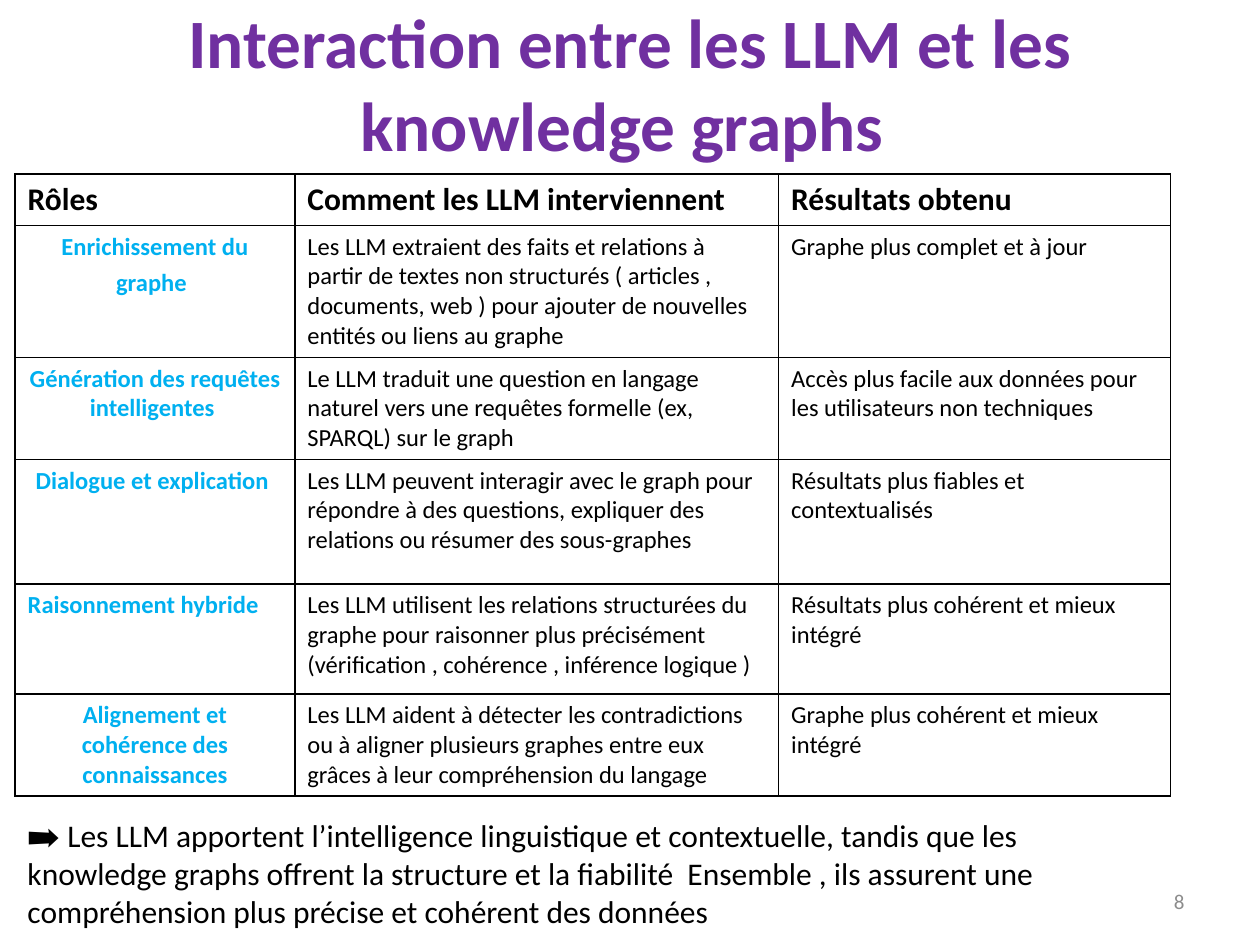
from typing import NamedTuple

from lxml.etree import SubElement
from pptx import Presentation
from pptx.dml.color import RGBColor
from pptx.enum.text import MSO_ANCHOR as Anchor, MSO_AUTO_SIZE as AutoSize, PP_ALIGN as Align
from pptx.oxml.ns import qn
from pptx.util import Inches, Pt

COLORS = {
    "title": "7030A0",
    "role": "00B0F0",
    "text": "000000",
    "number": "8C8C8C",
    "cell": "FFFFFF",
}
FONT = "Calibri"
WIDTH, HEIGHT = Inches(10), Inches(7.5)
COLUMNS = (2.22, 3.84, 3.11)
ROWS = (0.41, 0.93, 0.69, 0.99, 0.87, 0.79)


class Box(NamedTuple):
    left: float
    top: float
    width: float
    height: float

    def emu(self) -> tuple[int, ...]:
        return tuple(int(share * size) for share, size in zip(self, (WIDTH, HEIGHT) * 2))


class Role(NamedTuple):
    name: str
    method: str
    result: str
    align: Align = Align.CENTER
    tail: str = ""


TITLE_BOX = Box(0.05, 0.04, 0.9, 1 / 6)
TABLE_BOX = Box(0.012, 0.184, sum(COLUMNS) / 10, sum(ROWS) / 7.5)
NOTE_BOX = Box(0.012, 0.857, 0.913, 0.135)
NUMBER_BOX = Box(0.717, 0.927, 0.233, 0.053)

HEADERS = ("Rôles", "Comment les LLM interviennent", "Résultats obtenu")
ROLES = (
    Role("Enrichissement du graphe",
         "Les LLM extraient des faits et relations à partir de textes non structurés "
         "( articles , documents, web ) pour ajouter de nouvelles entités ou liens au graphe",
         "Graphe plus complet et à jour", tail=" "),
    Role("Génération des requêtes intelligentes ",
         "Le LLM traduit une question en langage naturel vers une requêtes formelle "
         "(ex, SPARQL) sur le graph",
         "Accès plus facile aux données pour les utilisateurs non techniques"),
    Role("Dialogue et explication ",
         "Les LLM peuvent interagir avec le graph pour répondre à des questions, "
         "expliquer des relations ou résumer des sous-graphes",
         "Résultats plus fiables et contextualisés"),
    Role("Raisonnement hybride",
         "Les LLM utilisent les relations structurées du graphe pour raisonner plus "
         "précisément (vérification , cohérence , inférence logique )",
         "Résultats plus cohérent et mieux intégré", Align.LEFT),
    Role("Alignement et cohérence des connaissances",
         "Les LLM aident à détecter les contradictions ou à aligner plusieurs graphes "
         "entre eux grâces à leur compréhension du langage",
         "Graphe plus cohérent et mieux intégré"),
)


def write(tf, text: str, *, size: float, color: str = "text", bold: bool = False,
          align: Align = Align.LEFT) -> None:
    p = tf.paragraphs[0]
    p.alignment = align
    r = p.add_run()
    r.text = text
    r.font.name, r.font.size, r.font.bold = FONT, Pt(size), bold
    r.font.color.rgb = RGBColor.from_string(COLORS[color])


def add_text(slide, box: Box, text: str, *, anchor: Anchor = Anchor.TOP,
             auto_size: AutoSize = AutoSize.NONE, **style) -> None:
    tf = slide.shapes.add_textbox(*box.emu()).text_frame
    tf.word_wrap, tf.auto_size, tf.vertical_anchor = True, auto_size, anchor
    write(tf, text, **style)


def add_title(slide, text: str) -> None:
    sp = slide.shapes.title
    sp.left, sp.top, sp.width, sp.height = TITLE_BOX.emu()
    tf = sp.text_frame
    tf.word_wrap, tf.auto_size = True, AutoSize.NONE
    tf.vertical_anchor, tf.margin_bottom = Anchor.BOTTOM, Inches(0.24)
    write(tf, text, size=39.6, color="title", bold=True, align=Align.CENTER)


def format_cell(cell) -> None:
    tc_pr = cell._tc.get_or_add_tcPr()
    for side in ("a:lnL", "a:lnR", "a:lnT", "a:lnB"):
        line = SubElement(tc_pr, qn(side), w=str(Pt(1)))
        fill = SubElement(line, qn("a:solidFill"))
        SubElement(fill, qn("a:srgbClr"), val=COLORS["text"])
    cell.fill.solid()
    cell.fill.fore_color.rgb = RGBColor.from_string(COLORS["cell"])


def add_roles(slide) -> None:
    table = slide.shapes.add_table(len(ROWS), len(COLUMNS), *TABLE_BOX.emu()).table
    table.first_row = table.horz_banding = False
    for column, width in zip(table.columns, COLUMNS):
        column.width = Inches(width)
    for row, height in zip(table.rows, ROWS):
        row.height = Inches(height)
    for cell in table.iter_cells():
        format_cell(cell)
    for col, header in enumerate(HEADERS):
        write(table.cell(0, col).text_frame, header, size=18, bold=True)
    for row, role in enumerate(ROLES, start=1):
        name, method, result = (table.cell(row, col).text_frame for col in range(3))
        write(name, role.name, size=14, color="role", bold=True, align=role.align)
        if role.tail:
            write(name, role.tail, size=18, bold=True, align=role.align)
        write(method, role.method, size=14)
        write(result, role.result, size=14)


def main() -> None:
    prs = Presentation()
    prs.slide_width, prs.slide_height = WIDTH, HEIGHT
    slide = prs.slides.add_slide(prs.slide_layouts[5])
    add_title(slide, "Interaction entre les LLM et les knowledge graphs ")
    add_text(slide, NUMBER_BOX, "8", size=12, color="number",
             align=Align.RIGHT, anchor=Anchor.MIDDLE)
    add_roles(slide)
    add_text(slide, NOTE_BOX,
             "➡ Les LLM apportent l’intelligence linguistique et contextuelle, tandis que les "
             "knowledge graphs offrent la structure et la fiabilité  Ensemble , ils assurent "
             "une compréhension plus précise et cohérent des données",
             size=18, auto_size=AutoSize.SHAPE_TO_FIT_TEXT)
    prs.save("out.pptx")


if __name__ == "__main__":
    main()
